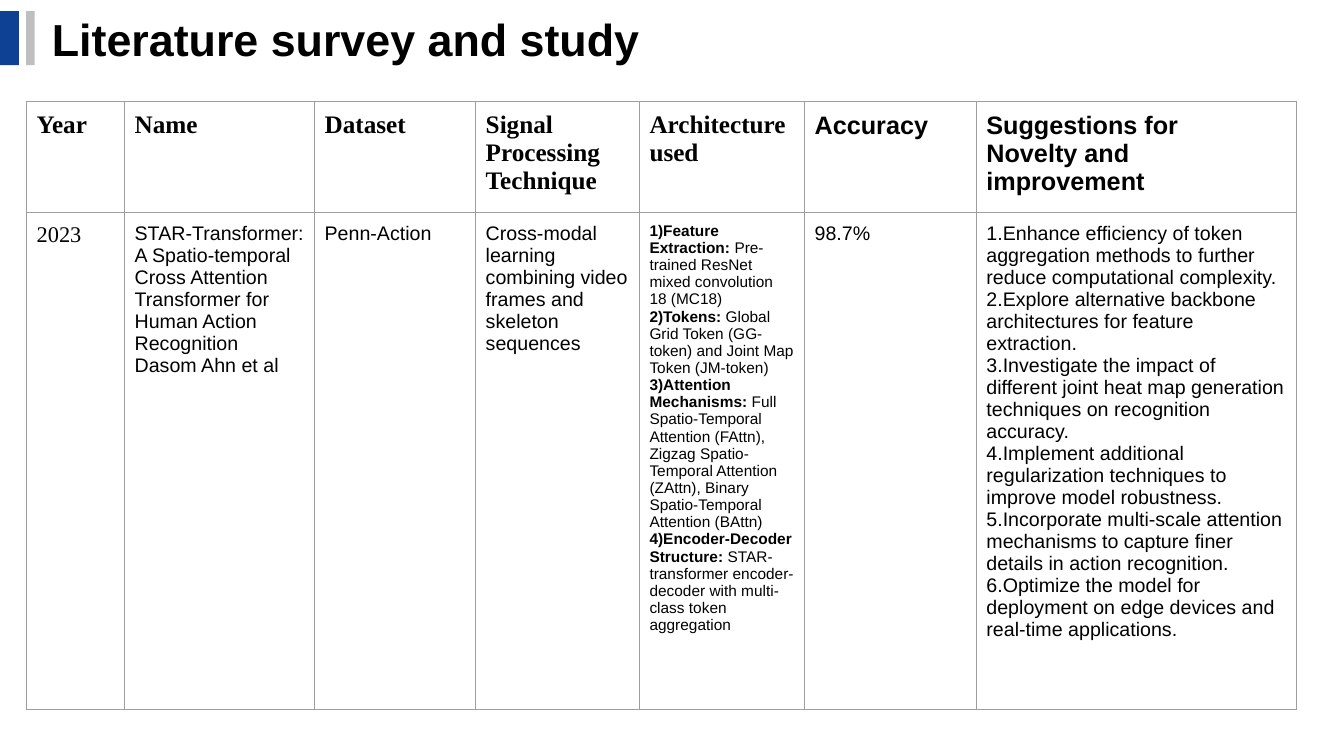
from lxml.etree import SubElement
from pptx import Presentation
from pptx.dml.color import RGBColor
from pptx.enum.shapes import MSO_SHAPE
from pptx.enum.text import MSO_ANCHOR
from pptx.oxml.ns import qn
from pptx.util import Pt

COLORS = {"blue": "0E4094", "gray": "BFBFBF", "border": "9E9E9E", "text": "000000"}
SANS, SERIF = "Arial", "Times New Roman"
COLUMN_WIDTHS = [70, 135.7, 115.1, 117, 118, 122.7, 228.8]
ROW_HEIGHTS = [79.3, 355.3]

HEADERS = [
    (["Year"], SERIF),
    (["Name"], SERIF),
    (["Dataset"], SERIF),
    (["Signal Processing", "Technique"], SERIF),
    (["Architecture used"], SERIF),
    (["Accuracy"], SANS),
    (["Suggestions for", "Novelty and improvement"], SANS),
]
ARCHITECTURE = [
    ("1)Feature Extraction:", " Pre-trained ResNet mixed convolution 18 (MC18)"),
    ("2)Tokens:", " Global Grid Token (GG-token) and Joint Map Token (JM-token)"),
    ("3)Attention Mechanisms:",
     " Full Spatio-Temporal Attention (FAttn), Zigzag Spatio-Temporal Attention (ZAttn), "
     "Binary Spatio-Temporal Attention (BAttn)"),
    ("4)Encoder-Decoder Structure:",
     " STAR-transformer encoder-decoder with multi-class token aggregation"),
]
SUGGESTIONS = [
    "1.Enhance efficiency of token aggregation methods to further reduce computational "
    "complexity.\v2.Explore alternative backbone architectures for feature extraction.",
    "3.Investigate the impact of different joint heat map generation techniques on "
    "recognition accuracy.",
    "4.Implement additional regularization techniques to improve model robustness.",
    "5.Incorporate multi-scale attention mechanisms to capture finer details in action "
    "recognition.\v6.Optimize the model for deployment on edge devices and real-time "
    "applications.",
]
STUDY = [
    (["2023"], SERIF, 16),
    (["STAR-Transformer: A Spatio-temporal Cross Attention Transformer for Human Action "
      "Recognition\vDasom Ahn et al"], SANS, 14),
    (["Penn-Action"], SANS, 14),
    (["Cross-modal learning combining video frames and skeleton sequences"], SANS, 14),
    (ARCHITECTURE, SANS, 11),
    (["98.7%"], SANS, 14),
    (SUGGESTIONS, SANS, 14),
]


def rgb(name):
    return RGBColor.from_string(COLORS[name])


def add_bar(s, left, width, color):
    sp = s.shapes.add_shape(MSO_SHAPE.RECTANGLE, Pt(left), Pt(8), Pt(width), Pt(38.5))
    sp.shadow.inherit = False
    sp.fill.solid()
    sp.fill.fore_color.rgb = rgb(color)
    sp.line.fill.background()


def write_text(tf, paragraphs, font, size, bold=False):
    for i, content in enumerate(paragraphs):
        p = tf.paragraphs[0] if i == 0 else tf.add_paragraph()
        p.font.name = font
        p.font.size = Pt(size)
        p.font.color.rgb = rgb("text")
        if isinstance(content, tuple):
            for text, run_bold in zip(content, (True, False)):
                r = p.add_run()
                r.text = text
                r.font.bold = run_bold
        else:
            p.text = content
            p.font.bold = bold


def add_title(s, text):
    sp = s.shapes.add_textbox(Pt(30), Pt(4.5), Pt(740), Pt(46))
    tf = sp.text_frame
    tf.word_wrap = True
    tf.vertical_anchor = MSO_ANCHOR.MIDDLE
    write_text(tf, [text], SANS, 32, True)


def style_cell(cell):
    tc_pr = cell._tc.get_or_add_tcPr()
    for side in ("a:lnL", "a:lnR", "a:lnT", "a:lnB"):
        ln = SubElement(tc_pr, qn(side), w=str(Pt(0.75)))
        fill = SubElement(ln, qn("a:solidFill"))
        SubElement(fill, qn("a:srgbClr"), val=COLORS["border"])
    cell.fill.background()
    cell.margin_left = cell.margin_right = Pt(7.2)
    cell.margin_top = cell.margin_bottom = Pt(7.2)


def add_survey_table(s):
    frame = s.shapes.add_table(len(ROW_HEIGHTS), len(COLUMN_WIDTHS), Pt(19), Pt(72.4),
                               Pt(sum(COLUMN_WIDTHS)), Pt(sum(ROW_HEIGHTS)))
    table = frame.table
    table.first_row = table.horz_banding = False
    for column, width in zip(table.columns, COLUMN_WIDTHS):
        column.width = Pt(width)
    for row, height in zip(table.rows, ROW_HEIGHTS):
        row.height = Pt(height)
    for cell in table.iter_cells():
        style_cell(cell)
    for i, (paragraphs, font) in enumerate(HEADERS):
        write_text(table.cell(0, i).text_frame, paragraphs, font, 18, True)
    for i, (paragraphs, font, size) in enumerate(STUDY):
        write_text(table.cell(1, i).text_frame, paragraphs, font, size)


def main():
    prs = Presentation()
    prs.slide_width, prs.slide_height = Pt(960), Pt(540)
    s = prs.slides.add_slide(prs.slide_layouts[6])
    add_bar(s, 0, 13.5, "blue")
    add_title(s, "Literature survey and study")
    add_bar(s, 18.7, 6, "gray")
    add_survey_table(s)
    prs.save("out.pptx")


if __name__ == "__main__":
    main()
